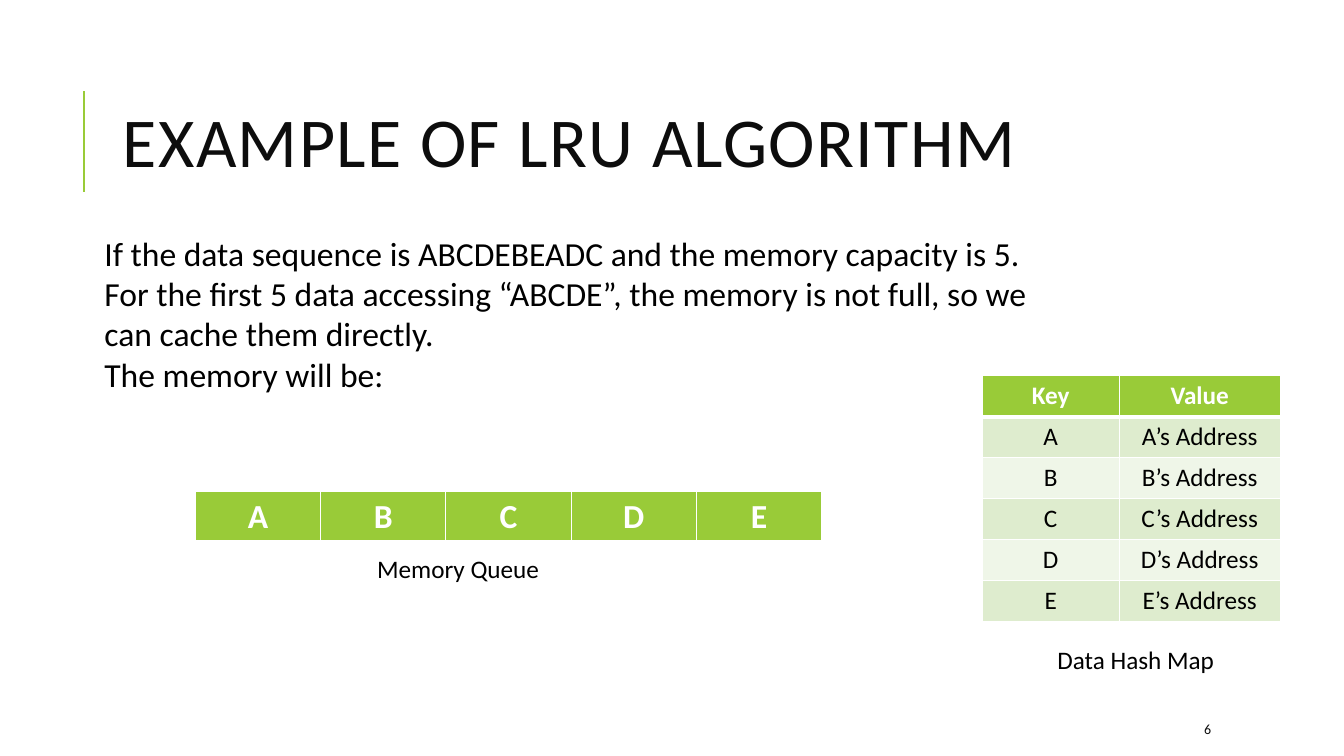
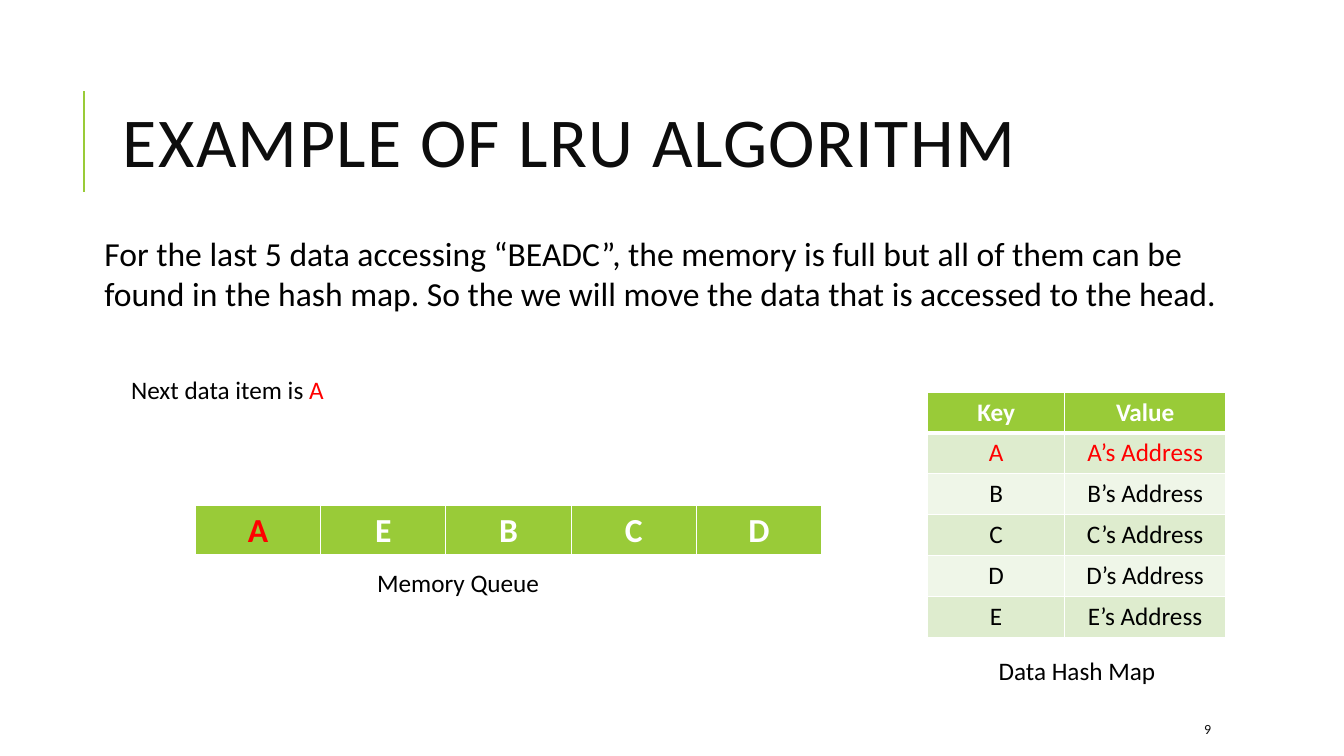
from lxml import etree
from pptx import Presentation
from pptx import util as u
from pptx.dml.color import RGBColor
from pptx.enum import shapes, text
from pptx.oxml import ns

GREEN = RGBColor(0x99, 0xCB, 0x38)
LIGHT_GREEN = RGBColor(0xDE, 0xEC, 0xCE)
PALE_GREEN = RGBColor(0xEF, 0xF6, 0xE8)
INK = RGBColor(0x0D, 0x0D, 0x0D)
BLACK = RGBColor(0x00, 0x00, 0x00)
WHITE = RGBColor(0xFF, 0xFF, 0xFF)
RED = RGBColor(0xFF, 0x00, 0x00)

FONT = "Calibri"
TITLE = "EXAMPLE OF LRU ALGORITHM"
KEYS = "ABCDE"
LEFT, CENTER = text.PP_ALIGN.LEFT, text.PP_ALIGN.CENTER
TOP, MIDDLE = text.MSO_ANCHOR.TOP, text.MSO_ANCHOR.MIDDLE


def points(*lengths):
    return [u.Pt(length) for length in lengths]


class LruDeck:
    """Holds the shared style and the slide being built."""

    def __init__(self):
        self.deck = Presentation()
        self.deck.slide_width, self.deck.slide_height = points(960, 540)
        self.page = None

    def style(self, para, size, color, align=LEFT, bold=False):
        para.alignment = align
        for span in para.runs:
            span.font.name = FONT
            span.font.size = u.Pt(size)
            span.font.bold = bold
            span.font.color.rgb = color

    # Title, side rule and page number
    def new_page(self, number):
        self.page = self.deck.slides.add_slide(self.deck.slide_layouts[5])
        self.rule(60, 65, 137)
        title = self.page.shapes.title
        title.left, title.top, title.width, title.height = points(80.5, 46, 765.5, 118)
        frame = title.text_frame
        frame.text = TITLE
        frame.word_wrap = True
        frame.auto_size = text.MSO_AUTO_SIZE.NONE
        frame.vertical_anchor = MIDDLE
        para = frame.paragraphs[0]
        para.line_spacing = 0.8
        self.style(para, 50, INK)
        para.runs[0].font._element.set("spc", "100")
        self.text_box([str(number)], 853, 510, 76, 21.5, 10, INK, anchor=MIDDLE)

    def rule(self, x, top, bottom):
        line = self.page.shapes.add_connector(
            shapes.MSO_CONNECTOR.STRAIGHT, *points(x, bottom, x, top))
        line.line.color.rgb = GREEN
        line.line.width = u.Pt(1.5)
        etree.SubElement(line._element.spPr, ns.qn("a:effectLst"))

    # Text boxes and captions
    def text_box(self, lines, left, top, width, height, size,
                 color=BLACK, align=LEFT, anchor=TOP):
        box = self.page.shapes.add_textbox(*points(left, top, width, height))
        frame = box.text_frame
        frame.word_wrap = True
        frame.vertical_anchor = anchor
        frame.text = "\n".join(lines)
        for para in frame.paragraphs:
            self.style(para, size, color, align)
        return box

    def explanation(self, lines, width, height):
        self.text_box(lines, 67.5, 162.5, width, height, 24)

    def caption(self, label, left, top):
        self.text_box([label], left, top, 206.5, 29, 18, align=CENTER)

    def next_item(self, key):
        box = self.text_box(["Next data item is "], 86.5, 264, 234, 29, 18)
        para = box.text_frame.paragraphs[0]
        para.add_run().text = key
        self.style(para, 18, BLACK)
        para.runs[-1].font.color.rgb = RED

    # Tables
    def border(self, cell, side, width):
        line = etree.SubElement(
            cell._tc.get_or_add_tcPr(), ns.qn("a:ln" + side), w=str(u.Pt(width)))
        fill = etree.SubElement(line, ns.qn("a:solidFill"))
        etree.SubElement(fill, ns.qn("a:srgbClr"), val=str(WHITE))

    def table(self, rows, left, top, widths, row_height, size, accent=None):
        """The first row is the header; cells of the accent key turn red."""
        frame = self.page.shapes.add_table(
            len(rows), len(widths),
            *points(left, top, sum(widths), row_height * len(rows)))
        grid = frame.table
        for column, width in zip(grid.columns, widths):
            column.width = u.Pt(width)
        for r, values in enumerate(rows):
            grid.rows[r].height = u.Pt(row_height)
            header = r == 0
            for c, value in enumerate(values):
                cell = grid.cell(r, c)
                for side in "LRTB":
                    thick = (r, side) in ((0, "B"), (1, "T"))
                    self.border(cell, side, 3 if thick else 1)
                cell.fill.solid()
                cell.fill.fore_color.rgb = (
                    GREEN if header else LIGHT_GREEN if r % 2 else PALE_GREEN)
                cell.text_frame.text = value
                color = WHITE if header else BLACK
                if accent and value in (accent, address(accent)):
                    color = RED
                self.style(cell.text_frame.paragraphs[0], size, color, CENTER, header)

    def memory_queue(self, keys, top, accent=None):
        self.table([keys], 139.5, top, [89.5] * len(keys), 36, 24, accent)
        self.caption("Memory Queue", 224, top + 40.75)

    def hash_map(self, left, top, caption_left, caption_top, accent=None):
        rows = [("Key", "Value")] + [(key, address(key)) for key in KEYS]
        self.table(rows, left, top, [98, 115], 29.2, 18, accent)
        self.caption("Data Hash Map", caption_left, caption_top)


def address(key):
    return f"{key}’s Address"


def main():
    lru = LruDeck()

    # Filling the memory
    lru.new_page(6)
    lru.explanation([
        "If the data sequence is ABCDEBEADC and the memory capacity is 5.",
        "For the first 5 data accessing “ABCDE”, the memory is not full, "
        "so we can cache them directly.",
        "The memory will be:",
    ], 692, 124)
    lru.hash_map(701.5, 268.5, 708, 457)
    lru.memory_queue(KEYS, 351)

    # Moving an accessed item to the head
    lru.new_page(9)
    lru.explanation([
        "For the last 5 data accessing “BEADC”, the memory is full but all of them "
        "can be found in the hash map. So the we will move the data that is "
        "accessed to the head.",
    ], 811.5, 65.5)
    lru.hash_map(662.5, 280, 666, 464.5, accent="A")
    lru.memory_queue("AEBCD", 361, accent="A")
    lru.next_item("A")

    lru.deck.save("out.pptx")


if __name__ == "__main__":
    main()
